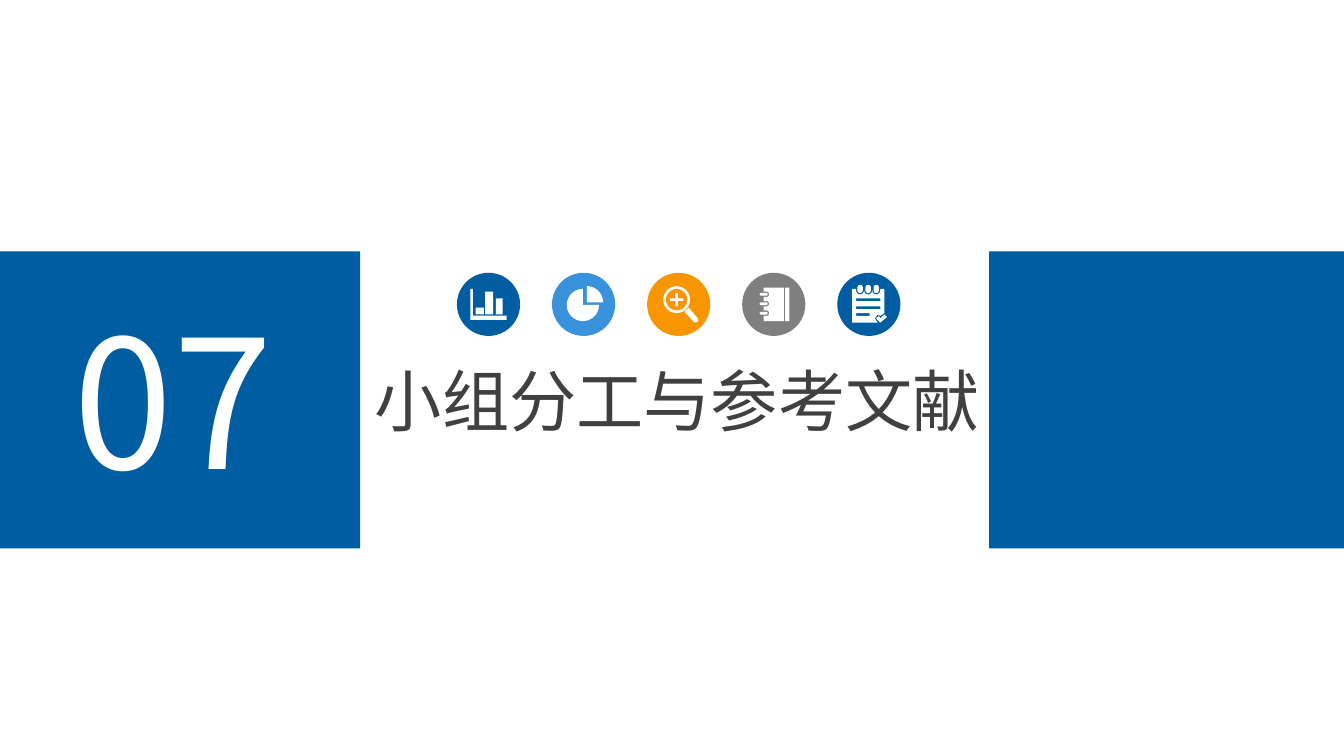
from math import cos, radians, sin

from pptx import Presentation
from pptx.dml.color import RGBColor
from pptx.enum.shapes import MSO_SHAPE
from pptx.enum.text import MSO_ANCHOR, MSO_AUTO_SIZE, PP_ALIGN
from pptx.util import Inches, Pt

BLUE = RGBColor(0x00, 0x5D, 0xA2)
LIGHT_BLUE = RGBColor(0x39, 0x92, 0xDB)
ORANGE = RGBColor(0xF7, 0x96, 0x00)
GRAY = RGBColor(0x7F, 0x7F, 0x7F)
DARK = RGBColor(0x40, 0x40, 0x40)
WHITE = RGBColor(0xFF, 0xFF, 0xFF)

CIRCLE_TOP, CIRCLE_SIZE = 2.03, 0.47
FIRST_LEFT, LAST_LEFT = 3.4, 6.23


def fill_plain(shape, color):
    """Give the shape a solid fill without line or shadow."""
    shape.shadow.inherit = False
    shape.fill.solid()
    shape.fill.fore_color.rgb = color
    shape.line.fill.background()


def arc(center_x, center_y, radius, start, end, steps=24):
    """Return points along an arc, in degrees clockwise from the right."""
    angles = [radians(start + (end - start) * step / steps) for step in range(steps + 1)]
    return [(center_x + radius * cos(angle), center_y + radius * sin(angle)) for angle in angles]


presentation = Presentation()
presentation.slide_width = Inches(10)
presentation.slide_height = Inches(10) * 9 // 16
slide = presentation.slides.add_slide(presentation.slide_layouts[5])

# Side bands, section number and title
for left in (0, 7.36):
    band = slide.shapes.add_shape(
        MSO_SHAPE.RECTANGLE, Inches(left), Inches(1.87), Inches(2.68), Inches(2.21))
    fill_plain(band, BLUE)

number_box = slide.shapes.add_textbox(0, 0, 0, 0)
frame_format = {
    "word_wrap": True,
    "auto_size": MSO_AUTO_SIZE.NONE,
    "vertical_anchor": MSO_ANCHOR.TOP,
}
for shape, text, box, size, color in (
    (number_box, "07", (0.45, 2.11, 1.78, 1.72), 96, WHITE),
    (slide.shapes.title, "小组分工与参考文献", (2.69, 2.62, 4.75, 0.71), 36, DARK),
):
    for name, value in zip(("left", "top", "width", "height"), box):
        setattr(shape, name, Inches(value))
    for name, value in frame_format.items():
        setattr(shape.text_frame, name, value)
    shape.text_frame.text = text
    paragraph = shape.text_frame.paragraphs[0]
    paragraph.alignment = PP_ALIGN.LEFT
    font = paragraph.runs[0].font
    font.name = "Noto Sans CJK SC"
    font.size = Pt(size)
    font.color.rgb = color

# Icon contours in inches from the circle's corner; a 4-tuple is a rectangle
bar_chart = [
    [(0.1, 0.12), (0.12, 0.12), (0.12, 0.32), (0.37, 0.32), (0.37, 0.35), (0.1, 0.35)],
    (0.14, 0.26, 0.2, 0.31),
    (0.21, 0.14, 0.27, 0.31),
    (0.29, 0.19, 0.34, 0.31),
]
pie_chart = [
    [(0.23, 0.24)] + arc(0.23, 0.24, 0.12, 0, 270),
    [(0.26, 0.22)] + arc(0.26, 0.22, 0.12, -90, 0),
]
magnifier = [
    arc(0.22, 0.2, 0.1, 0, 360),
    arc(0.22, 0.2, 0.08, 0, 360),
    (0.17, 0.19, 0.27, 0.21),
    (0.21, 0.15, 0.23, 0.19),
    (0.21, 0.21, 0.23, 0.25),
    [(0.28, 0.29), (0.31, 0.26)] + arc(0.36, 0.35, 0.02, -45, 135),
]
cover = [(0.16, 0.11), (0.31, 0.11), (0.31, 0.36), (0.16, 0.36)]
notebook = [cover, (0.32, 0.11, 0.35, 0.36)]
for y in (0.3, 0.23, 0.16):
    cover += [(0.16, y + 0.02)] + arc(0.18, y, 0.02, 90, -90) + [(0.16, y - 0.02)]
    notebook.append(arc(0.14, y, 0.01, 90, 270) + arc(0.18, y, 0.01, -90, 90))
page = [(0.11, 0.12)]
checklist = [
    page,
    (0.14, 0.19, 0.32, 0.21),
    (0.14, 0.25, 0.32, 0.27),
    (0.14, 0.3, 0.24, 0.32),
    [(0.29, 0.34), (0.31, 0.32), (0.32, 0.34), (0.35, 0.31), (0.37, 0.33), (0.32, 0.37)],
]
for x in (0.17, 0.23, 0.29):
    page += [(x - 0.03, 0.12)] + arc(x, 0.13, 0.03, 180, 0) + [(x + 0.03, 0.12)]
    checklist.append(arc(x, 0.11, 0.02, 180, 360) + arc(x, 0.13, 0.02, 0, 180))
page += [(0.35, 0.12), (0.35, 0.3), (0.32, 0.32), (0.3, 0.31), (0.28, 0.34), (0.3, 0.37), (0.11, 0.37)]

icons = [
    (BLUE, bar_chart),
    (LIGHT_BLUE, pie_chart),
    (ORANGE, magnifier),
    (GRAY, notebook),
    (BLUE, checklist),
]
pitch = (LAST_LEFT - FIRST_LEFT) / (len(icons) - 1)
for index, (circle_color, contours) in enumerate(icons):
    circle_left = FIRST_LEFT + index * pitch
    group = slide.shapes.add_group_shape()
    circle = group.shapes.add_shape(
        MSO_SHAPE.OVAL, Inches(circle_left), Inches(CIRCLE_TOP),
        Inches(CIRCLE_SIZE), Inches(CIRCLE_SIZE))
    fill_plain(circle, circle_color)

    builder = None
    for contour in contours:
        if isinstance(contour, tuple):
            left, top, right, bottom = contour
            contour = [(left, top), (right, top), (right, bottom), (left, bottom)]
        points = [(Inches(circle_left + x), Inches(CIRCLE_TOP + y)) for x, y in contour]
        if builder is None:
            builder = group.shapes.build_freeform(*points[0])
        else:
            builder.move_to(*points[0])
        builder.add_line_segments(points[1:], close=True)
    fill_plain(builder.convert_to_shape(), WHITE)

presentation.save("out.pptx")
